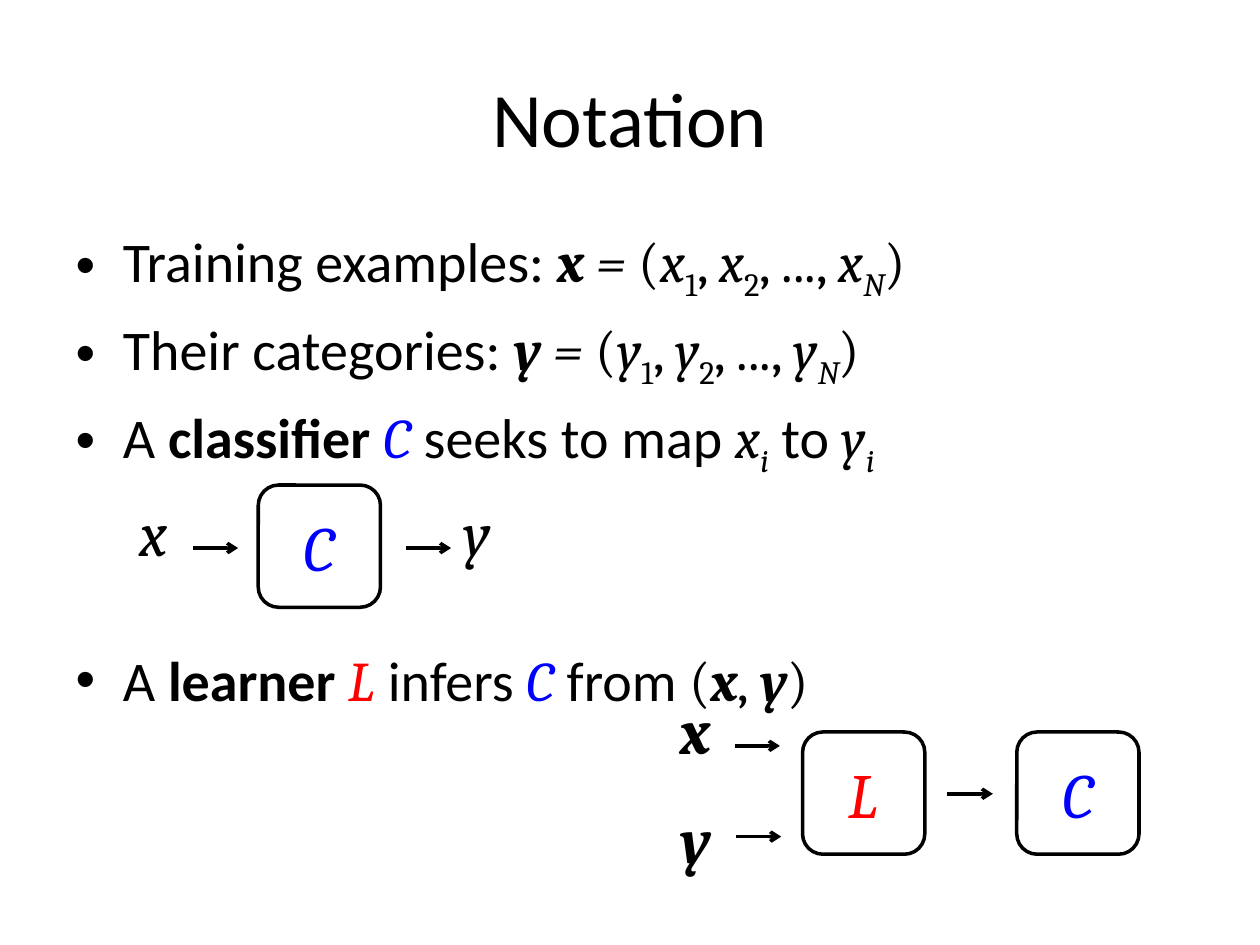
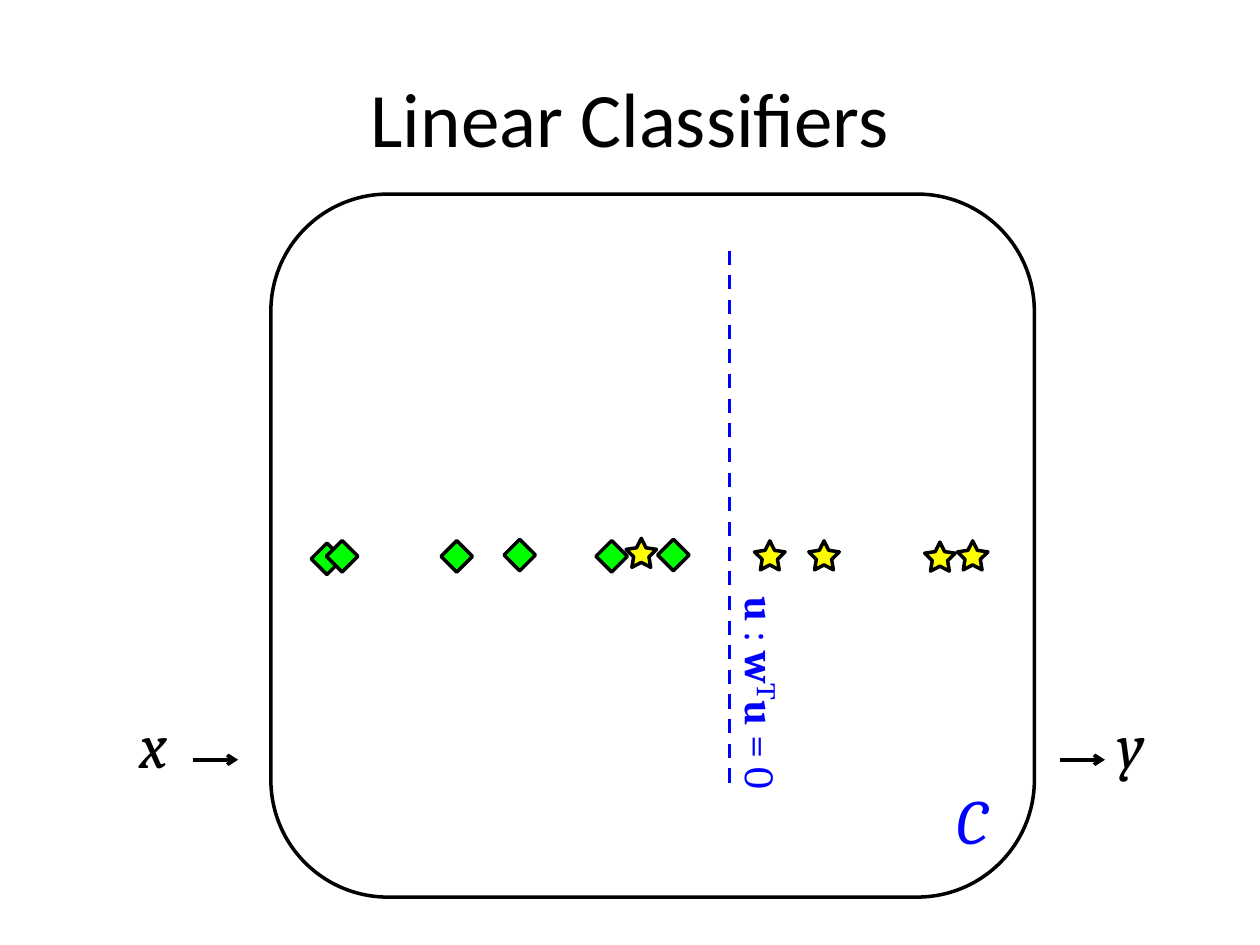
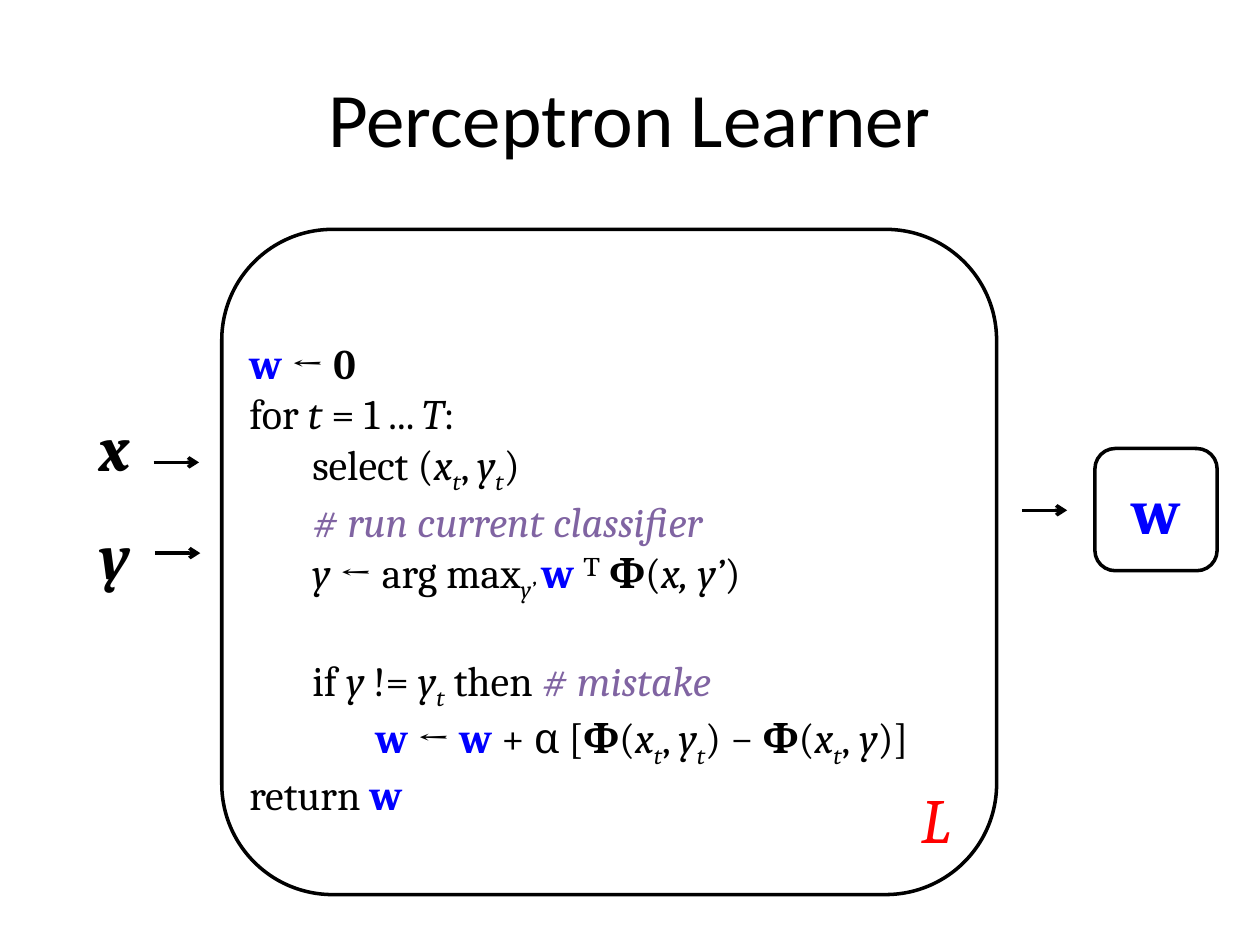
from math import cos, pi, sin

from lxml.etree import SubElement
from pptx import Presentation
from pptx.dml.color import RGBColor
from pptx.enum.dml import MSO_LINE
from pptx.enum.shapes import MSO_CONNECTOR as Wire, MSO_SHAPE as Form
from pptx.enum.text import MSO_ANCHOR as Anchor, MSO_AUTO_SIZE as Fit, PP_ALIGN as Align
from pptx.oxml.ns import qn
from pptx.util import Inches, Pt

BLACK = RGBColor(0, 0, 0)
WHITE = RGBColor(255, 255, 255)
BLUE = RGBColor(0, 0, 255)
RED = RGBColor(255, 0, 0)
PURPLE = RGBColor(0x80, 0x64, 0xA2)
GREEN = RGBColor(0, 255, 0)
YELLOW = RGBColor(255, 255, 0)

SANS, SERIF = "Calibri", "Cambria"
COLS, ROWS = 100, 75     # grid of the slide, one cell is a tenth of an inch
TILE, DOT, STEP = 9.7, 2.5, 3.6   # small box, data point, arrow length


def cell(n):
    return Inches(n / 10)


class Deck:
    """Holds the style and the current slide; lengths are grid cells.

    Text is split at "|"; codes before "~" style a piece:
    m serif, b bold, i italic, _ subscript, B blue, R red, P purple.
    """

    inks = {"B": BLUE, "R": RED, "P": PURPLE}

    def __init__(self):
        self.prs = Presentation()
        self.prs.slide_width, self.prs.slide_height = cell(COLS), cell(ROWS)

    def page(self, title, body=False):
        self.slide = self.prs.slides.add_slide(self.prs.slide_layouts[1 if body else 5])
        head = self.slide.shapes.title
        self.place(head, 5, 3, 90, 12.5)
        head.text_frame.vertical_anchor = Anchor.MIDDLE
        self.style(head.text_frame.paragraphs[0], title, 44, Align.CENTER)

    def place(self, shape, x, y, w, h):
        shape.left, shape.top, shape.width, shape.height = map(cell, (x, y, w, h))

    def style(self, par, text, size, align=None):
        par.alignment = align
        for piece in text.split("|"):
            code, _, words = piece.rpartition("~")
            run = par.add_run()
            run.text = words
            font = run.font
            font.size = Pt(size)
            font.name = SERIF if "m" in code else SANS
            font.bold, font.italic = "b" in code, "i" in code
            font.color.rgb = next((self.inks[c] for c in code if c in self.inks), BLACK)
            if "_" in code:
                run._r.get_or_add_rPr().set("baseline", "-25000")

    def fill(self, frame, lines, size):
        """Add (level, gap before in points, text) lines."""
        for n, (level, gap, text) in enumerate(lines):
            par = frame.add_paragraph() if n else frame.paragraphs[0]
            if level:
                par._p.get_or_add_pPr().set("marL", str(Inches(level / 2)))
            if gap:
                par.space_before = Pt(gap)
            self.style(par, text, size)

    def body(self, x, y, w, h, lines):
        hold = self.slide.placeholders[1]
        self.place(hold, x, y, w, h)
        hold.text_frame.auto_size = Fit.NONE
        self.fill(hold.text_frame, lines, 32)

    def label(self, x, y, w, h, lines, size=36, wrap=False, turn=0):
        box = self.slide.shapes.add_textbox(*map(cell, (x, y, w, h)))
        box.rotation = turn
        frame = box.text_frame
        frame.word_wrap = wrap
        frame.auto_size = Fit.SHAPE_TO_FIT_TEXT
        self.fill(frame, lines, size)

    def sign(self, x, y, text):
        self.label(x, y, 4.7, 7.1, [(0, 0, text)])

    def paint(self, shape, color):
        shape.shadow.inherit = False
        shape.fill.solid()
        shape.fill.fore_color.rgb = color
        shape.line.color.rgb = BLACK
        shape.line.width = Pt(2)

    def shape(self, form, x, y, w, h, color):
        item = self.slide.shapes.add_shape(form, *map(cell, (x, y, w, h)))
        self.paint(item, color)
        return item

    def box(self, x, y, text, w=TILE, h=TILE, corner=False):
        item = self.shape(Form.ROUNDED_RECTANGLE, x, y, w, h, WHITE)
        frame = item.text_frame
        frame.vertical_anchor = Anchor.BOTTOM if corner else Anchor.MIDDLE
        self.style(frame.paragraphs[0], text, 36, Align.RIGHT if corner else Align.CENTER)

    def star(self, x, y):
        """Five-pointed star around a centre."""
        tips = []
        for n in range(10):
            r, a = (0.64 if n % 2 else 1.27), n * pi / 5
            tips.append((cell(x + r * sin(a)), cell(y - r * cos(a))))
        pen = self.slide.shapes.build_freeform(*tips[0])
        pen.add_line_segments(tips[1:], close=True)
        self.paint(pen.convert_to_shape(), YELLOW)

    def line(self, x, y, to_x, to_y, color=BLACK, dash=False, tip=False):
        wire = self.slide.shapes.add_connector(Wire.STRAIGHT, *map(cell, (x, y, to_x, to_y)))
        wire.line.color.rgb = color
        wire.line.width = Pt(2)
        if dash:
            wire.line.dash_style = MSO_LINE.DASH
        spot = wire._element.spPr
        if tip:
            SubElement(spot.find(qn("a:ln")), qn("a:tailEnd"), type="arrow")
        SubElement(spot, qn("a:effectLst"))

    def arrow(self, x, y):
        self.line(x, y, x + STEP, y, tip=True)

    def flow(self, y, right):
        """Input x on the left, output y at the given column."""
        self.sign(10.1, y, "mi~x")
        self.arrow(15.3, y + 4.8)
        self.arrow(right - STEP, y + 4.8)
        self.sign(right, y, "mi~y")

    def pair(self, x, y):
        """Bold inputs x and y, one above the other."""
        self.sign(x, y, "mbi~x")
        self.sign(x, y + 8.6, "mbi~y")
        self.arrow(x + 5.3, y + 4.8)
        self.arrow(x + 5.4, y + 12)


def series(name):
    """The vector of a letter, in full."""
    return (f"mbi~{name}|mi~ = |m~(|mi~{name}|m_~1|m~, |mi~{name}|m_~2"
            f"|m~, ..., |mi~{name}|mi_~N|m~)")


deck = Deck()

# Notation
deck.page("Notation", body=True)
deck.body(5, 17.5, 90, 42, [
    (0, 0, "Training examples: |" + series("x")),
    (0, 0, "Their categories: |" + series("y")),
    (0, 0, "A |b~classifier |miB~C| seeks to map |mi~x|mi_~i| to |mi~y|mi_~i"),
    (0, 95.5, "A |b~learner |miR~L| infers |miB~C |from |m~(|mbi~x|m~, |mbi~y|m~)"),
])
deck.pair(53, 54.4)
deck.box(63.7, 58.1, "miR~L")
deck.arrow(75.2, 63)
deck.box(80.7, 58.1, "miB~C")
deck.box(20.5, 38.5, "miB~C")
deck.flow(38.7, 35.8)

# Linear classifiers
deck.page("Linear Classifiers")
deck.box(21.5, 15.4, "miB~C", 60.6, 55.8, corner=True)
for x, y in [(65.4, 44.2), (61.1, 44.2), (50.9, 44), (77.2, 44.2), (74.6, 44.3)]:
    deck.star(x, y)
for x, y in [(40, 42.8), (47.3, 42.9), (24.7, 43.1), (25.9, 42.9), (52.2, 42.8), (35, 42.9)]:
    deck.shape(Form.DIAMOND, x, y, DOT, DOT, GREEN)
deck.line(57.9, 19.9, 57.9, 62.6, BLUE, dash=True)
deck.flow(55.5, 87.7)
deck.label(50.3, 54, 20.3, 5, [(0, 0, "mbB~u |mB~: |mbB~w|mB~ᵀ|mbB~u|mB~ = 0")], 24, turn=90)

# Perceptron learner
deck.page("Perceptron Learner")
deck.pair(6.9, 31.9)
deck.box(17.6, 18.2, "miR~L", 61.5, 52.8, corner=True)
deck.arrow(81.1, 40.5)
deck.box(86.9, 35.6, "mbB~w")
point = "mi~x|mi_~t|m~, |mi~y|mi_~t"
deck.label(18.8, 26.3, 62.8, 37.4, [
    (0, 0, "mbB~w|m~ ← |mb~0"),
    (0, 0, "m~for |mi~t|m~ = 1 ... |mi~T|m~:"),
    (1, 0, f"m~select (|{point}|m~)"),
    (1, 0, "miP~# run current classifier"),
    (1, 0, "mi~y|m~ ← arg max|mi_~y’ |mbB~w |m~ᵀ |mb~Φ|m~(|mi~x, y’|m~)"),
    (1, 29, "m~if |mi~y|m~ != |mi~y|mi_~t|m~ then |miP~# mistake"),
    (2, 0, f"mbB~w|m~ ← |mbB~w|m~ + α [|mb~Φ|m~(|{point}|m~) − |mb~Φ"
           "|m~(|mi~x|mi_~t|m~,|mi~ y|m~)]"),
    (0, 0, "m~return |mbB~w"),
], 24, wrap=True)

deck.prs.save("out.pptx")
